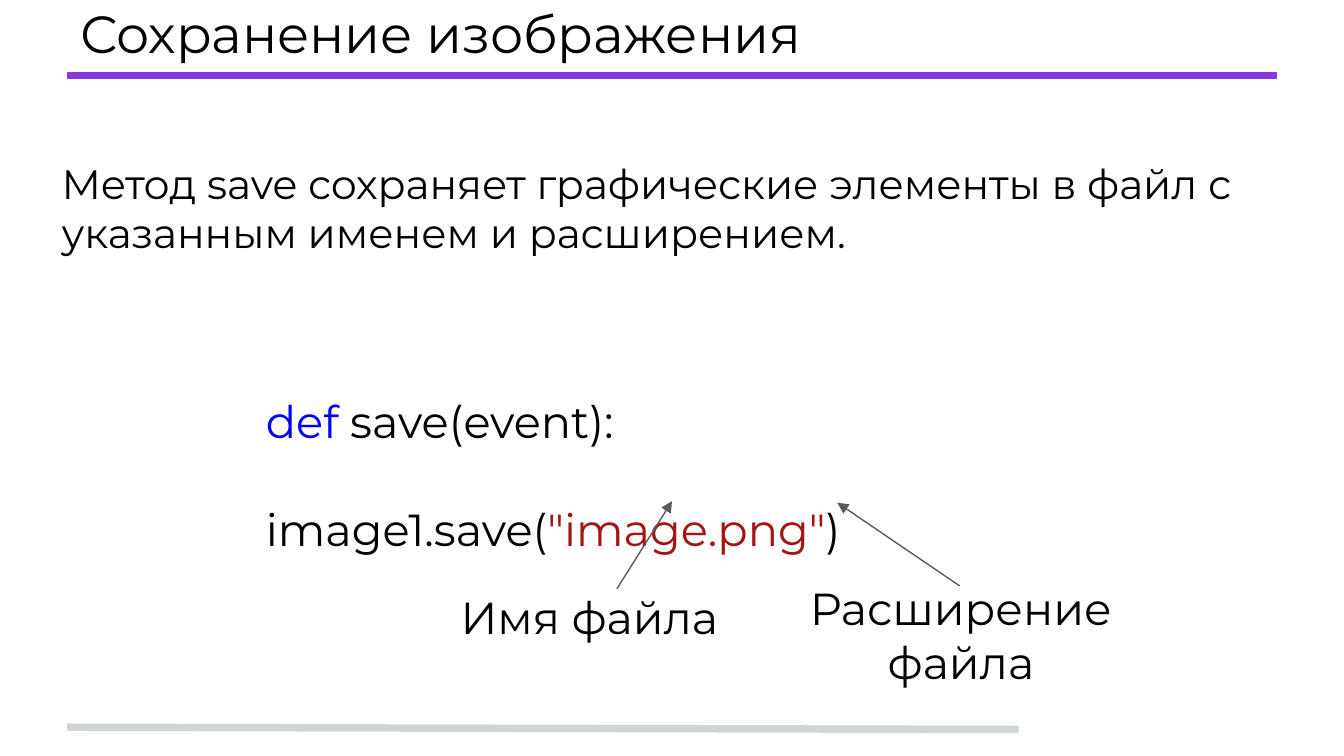
from lxml import etree
from pptx import Presentation
from pptx.dml.color import RGBColor
from pptx.enum.shapes import MSO_CONNECTOR
from pptx.enum.text import MSO_ANCHOR, PP_ALIGN
from pptx.oxml.ns import qn
from pptx.util import Inches, Pt

STRAIGHT = MSO_CONNECTOR.STRAIGHT
TOP, MID = MSO_ANCHOR.TOP, MSO_ANCHOR.MIDDLE
LEFT, MIDST = PP_ALIGN.LEFT, PP_ALIGN.CENTER
FONT = "Montserrat"
BLACK, BLUE, RED = "000000", "0000FF", "A31515"
PURPLE, PALE, GRAY = "833AE0", "CFD4D4", "5B595A"

deck = Presentation()
deck.slide_width = Inches(10)
deck.slide_height = Inches(10) * 9 // 16
slide = deck.slides.add_slide(deck.slide_layouts[6])

# Grid of 100 columns by 100 rows
COL = deck.slide_width / 100
ROW = deck.slide_height / 100


def place(x, y, w, h):
    return int(x * COL), int(y * ROW), int(w * COL), int(h * ROW)


def tint(color):
    return RGBColor.from_string(color)


# Rules and arrows: start, end, colour, width, arrowhead
lines = [
    (5, 96.2, 75.8, 96.5, PALE, 4, False),
    (5, 10, 95, 10, PURPLE, 4, False),
    (45.9, 77.9, 50, 66.3, GRAY, 0.75, True),
    (71.4, 77.5, 62.3, 66.5, GRAY, 0.75, True),
]

# Text: box, anchor, alignment, vertical inset, size, paragraphs of runs
texts = [
    ((5, 0, 90, 8.7), MID, LEFT, 0.1, 28,
     [[("Сохранение изображения", BLACK)]]),
    ((18.8, 51.2, 50, 18.5), TOP, LEFT, 0.05, 24,
     [[("def", BLUE), (" save(event):", BLACK)],
      [("image1.save(", BLACK), ('"image.png"', RED), (")", BLACK)]]),
    ((3.6, 19.2, 92.7, 21.3), TOP, LEFT, 0.1, 22,
     [[("Метод save сохраняет графические элементы в файл "
        "с указанным именем и расширением.", BLACK)]]),
    ((32.7, 75.2, 22.3, 12.8), MID, MIDST, 0.1, 24,
     [[("Имя файла", BLACK)]]),
    ((58.2, 77.5, 26.6, 12.8), MID, MIDST, 0.1, 24,
     [[("Расширение файла", BLACK)]]),
]

for box, anchor, align, inset, size, paras in texts:
    frame = slide.shapes.add_textbox(*place(*box)).text_frame
    frame.word_wrap = True
    frame.vertical_anchor = anchor
    frame.margin_left = frame.margin_right = Inches(0.1)
    frame.margin_top = frame.margin_bottom = Inches(inset)
    for i, runs in enumerate(paras):
        para = frame.add_paragraph() if i else frame.paragraphs[0]
        para.alignment = align
        if i:
            para.space_before = Pt(29)
        for words, color in runs:
            run = para.add_run()
            run.text = words
            run.font.name = FONT
            run.font.size = Pt(size)
            run.font.color.rgb = tint(color)

for x1, y1, x2, y2, color, width, arrow in lines:
    line = slide.shapes.add_connector(STRAIGHT, *place(x1, y1, x2, y2))
    line.line.color.rgb = tint(color)
    line.line.width = Pt(width)
    props = line.element.spPr
    etree.SubElement(props, qn("a:effectLst"))
    if arrow:
        etree.SubElement(props.find(qn("a:ln")), qn("a:tailEnd"), type="triangle")

deck.save("out.pptx")
